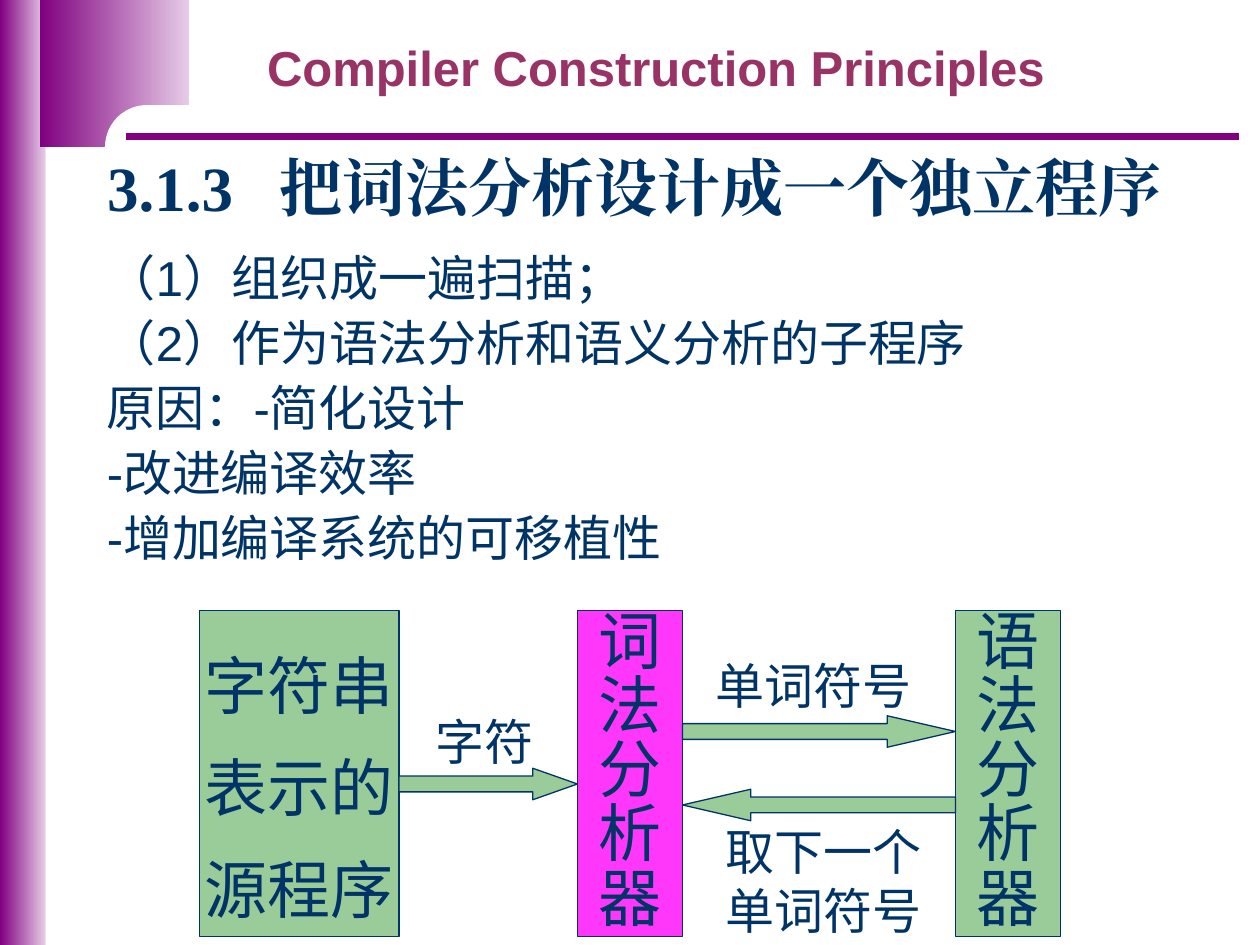
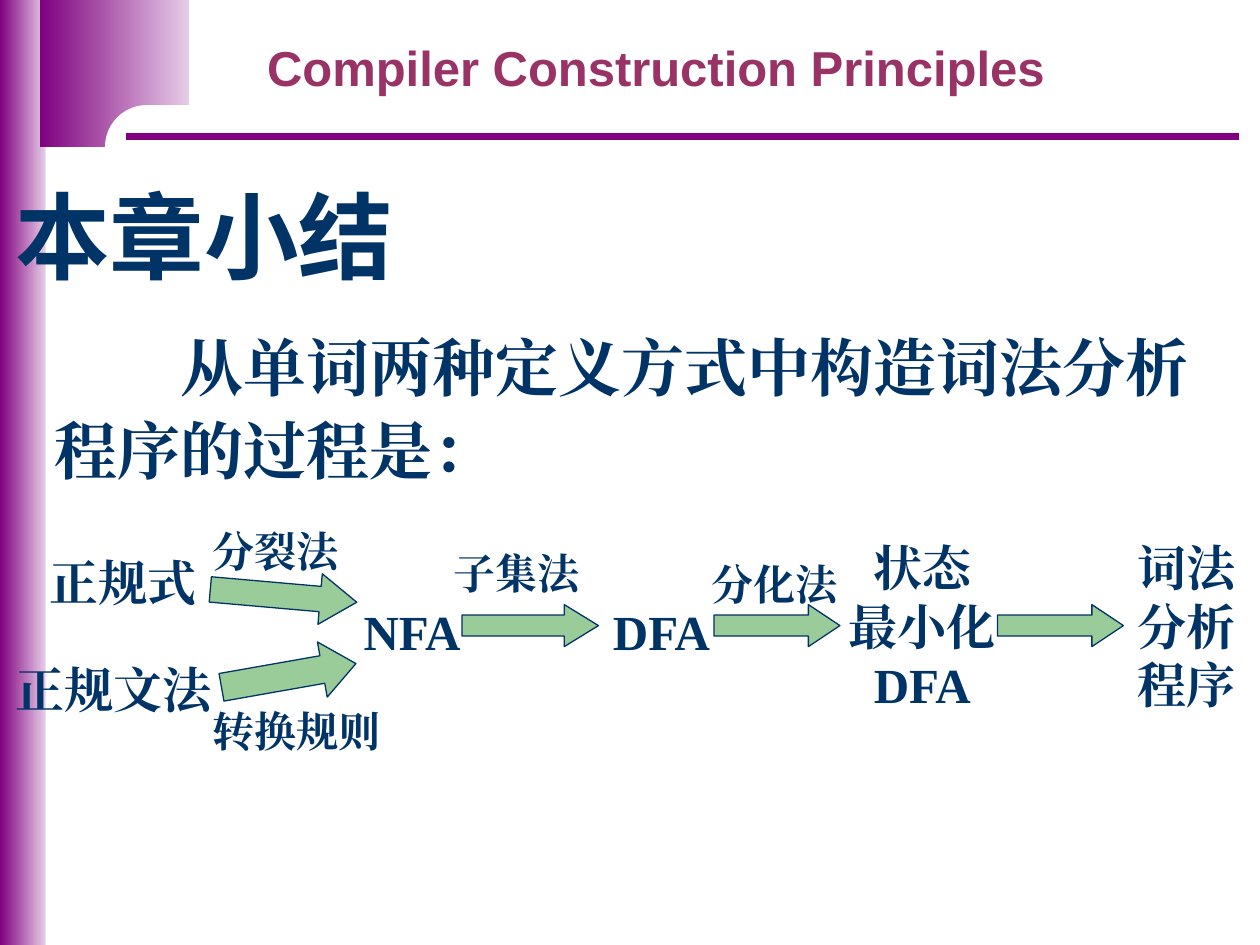
from pptx import Presentation
from pptx.dml.color import RGBColor
from pptx.enum import shapes, text
from pptx.oxml import ns, xmlchemy as xml
from pptx.util import Pt

PURPLE = RGBColor(0x80, 0x00, 0x80)
PALE = RGBColor(0xE6, 0xCC, 0xE6)
ROSE = RGBColor(0x99, 0x33, 0x66)
NAVY = RGBColor(0x00, 0x33, 0x66)
GREEN = RGBColor(0x99, 0xCC, 0x99)
PINK = RGBColor(0xFF, 0x37, 0xFA)
WHITE = RGBColor(0xFF, 0xFF, 0xFF)

SERIF, SANS, SLIM = "Times New Roman", "Arial", "Arial Narrow"
HEAVY = "Noto Sans CJK SC"
KIND = shapes.MSO_SHAPE
MID = text.PP_ALIGN.CENTER
LEFT = text.PP_ALIGN.LEFT


def put(item, form):
    for name, value in form.items():
        setattr(item, name, value)


def place(item, spot):
    put(item, dict(zip(("left", "top", "width", "height"), map(Pt, spot))))


def write(item, lines, size, face, bold=False, color=NAVY, wrap=True,
          anchor=text.MSO_ANCHOR.TOP, first=0, **form):
    frame = item.text_frame
    put(frame, {
        "text": "\n".join(lines), "word_wrap": wrap,
        "auto_size": text.MSO_AUTO_SIZE.NONE, "vertical_anchor": anchor,
        "margin_left": Pt(7.2), "margin_right": Pt(7.2),
        "margin_top": Pt(3.6), "margin_bottom": Pt(3.6),
    })
    for i, para in enumerate(frame.paragraphs):
        put(para, {"alignment": LEFT, "space_before": Pt(0), **form})
        if i == 0:
            para.space_before = Pt(0)
        if first:
            para._p.get_or_add_pPr().set("indent", str(Pt(first)))
        for run in para.runs:
            put(run.font, {"size": Pt(size), "name": face, "bold": bold})
            run.font.color.rgb = color
            east = xml.OxmlElement("a:ea")
            east.set("typeface", face)
            run.font._element.find(ns.qn("a:latin")).addnext(east)


def label(slide, spot, lines, size=28, face=SERIF, **form):
    box = slide.shapes.add_textbox(*map(Pt, spot))
    write(box, lines, size, face, **form)


def shape(slide, kind, spot, fill, edge=None):
    item = slide.shapes.add_shape(kind, *map(Pt, spot))
    item.shadow.inherit = False
    item.fill.solid()
    item.fill.fore_color.rgb = fill
    if edge is None:
        item.line.fill.background()
    else:
        item.line.color.rgb = edge
        item.line.width = Pt(0.75)
    return item


def fade(slide, spot):
    band = shape(slide, KIND.RECTANGLE, spot, PURPLE)
    band.fill.gradient()
    band.fill.gradient_angle = 0
    for stop, color in zip(band.fill.gradient_stops, (PURPLE, PALE)):
        stop.color.rgb = color


def block(slide, left, width, lines, fill, gap):
    box = shape(slide, KIND.RECTANGLE, (left, 349, width, 186), fill, NAVY)
    write(box, lines, 36, SLIM, wrap=False, anchor=text.MSO_ANCHOR.MIDDLE,
          alignment=MID, line_spacing=gap)


def arrow(slide, spot, kind=KIND.RIGHT_ARROW, turn=0):
    item = shape(slide, kind, spot, GREEN, NAVY)
    item.adjustments[1] = spot[2] / 4 / spot[3]
    item.rotation = turn


def rule(slide):
    line = slide.shapes.add_connector(
        shapes.MSO_CONNECTOR.STRAIGHT, Pt(72), Pt(78), Pt(708), Pt(78))
    line.line.color.rgb = PURPLE
    line.line.width = Pt(4.5)
    line._element.spPr.append(xml.OxmlElement("a:effectLst"))


def page(deck, title, spot, size, face, tab=None):
    slide = deck.slides.add_slide(deck.slide_layouts[5])
    fade(slide, (0, 0, 26, 540))
    fade(slide, (23, 0, 85, 84))
    curve = shape(slide, KIND.ROUNDED_RECTANGLE, (60, 60, 402, 48), WHITE)
    curve.adjustments[0] = 0.5
    rule(slide)
    label(slide, (137.5, 18, 474.5, 41), ["Compiler Construction Principles"],
          face=SANS, bold=True, color=ROSE, alignment=MID)
    head = slide.shapes.title
    place(head, spot)
    write(head, [title], size, face, bold=True,
          anchor=text.MSO_ANCHOR.BOTTOM, line_spacing=0.9)
    if tab:
        props = head.text_frame.paragraphs[0]._p.get_or_add_pPr()
        stops = xml.OxmlElement("a:tabLst")
        stop = xml.OxmlElement("a:tab")
        put_at = {"pos": str(Pt(tab)), "algn": "l"}
        for name, value in put_at.items():
            stop.set(name, value)
        stops.append(stop)
        props.append(stops)
    slide.shapes.element.append(head.element)
    return slide


def design(deck):
    slide = page(deck, "3.1.3\t把词法分析设计成一个独立程序",
                 (54, 42, 630, 90), 36, SERIF, tab=98.5)
    label(slide, (54, 138, 630, 222),
          ["（1）组织成一遍扫描；", "（2）作为语法分析和语义分析的子程序",
           "原因：-简化设计", "-改进编译效率", "-增加编译系统的可移植性"],
          face=SANS, space_before=Pt(3.5))
    block(slide, 114, 114, ["字符串", "表示的", "源程序"], GREEN, 1.35)
    block(slide, 330, 60, "词法分析器", PINK, 0.85)
    block(slide, 546, 60, "语法分析器", GREEN, 0.85)
    arrow(slide, (228, 439, 102, 18))
    arrow(slide, (390, 409, 156, 18))
    arrow(slide, (390, 451, 156, 18), KIND.LEFT_ARROW)
    for spot, lines in (
        ((242, 403, 70, 41), ["字符"]),
        ((402, 371, 135, 41), ["单词符号"]),
        ((407.5, 466, 138, 75), ["取下一个", "单词符号"]),
    ):
        label(slide, spot, lines, face=SLIM, wrap=False)


def recap(deck):
    slide = page(deck, "本章小结", (1.5, 95, 718.5, 76), 54, HEAVY)
    label(slide, (24, 180, 672, 102),
          ["从单词两种定义方式中构造词法分析程序的过程是："],
          size=36, bold=True, first=72, line_spacing=1.1)
    arrow(slide, (120, 326, 84, 29), turn=5)
    arrow(slide, (126, 370, 78, 32), turn=350)
    for left, width in ((264, 78), (408, 72), (570, 72)):
        arrow(slide, (left, 345.5, width, 24))
    for spot, lines in (
        ((21.5, 312, 98, 41), ["正规式"]),
        ((2, 373.5, 126, 41), ["正规文法"]),
        ((199.5, 340, 72, 41), ["NFA"]),
        ((342, 340, 72, 41), ["DFA"]),
        ((478, 303.5, 98, 108), ["状态", "最小化", "DFA"]),
        ((642, 303.5, 72, 108), ["词法", "分析", "程序"]),
    ):
        label(slide, spot, lines, bold=True, wrap=False, alignment=MID)
    for left, top, width, name in (
        (114.5, 296.5, 86, "分裂法"), (114.5, 399.5, 110, "转换规则"),
        (252, 309.5, 86, "子集法"), (399.5, 315.5, 86, "分化法"),
    ):
        label(slide, (left, top, width, 36), [name], size=24, bold=True,
              wrap=False)


def main():
    deck = Presentation()
    put(deck, {"slide_width": Pt(720), "slide_height": Pt(540)})
    design(deck)
    recap(deck)
    deck.save("out.pptx")


if __name__ == "__main__":
    main()
